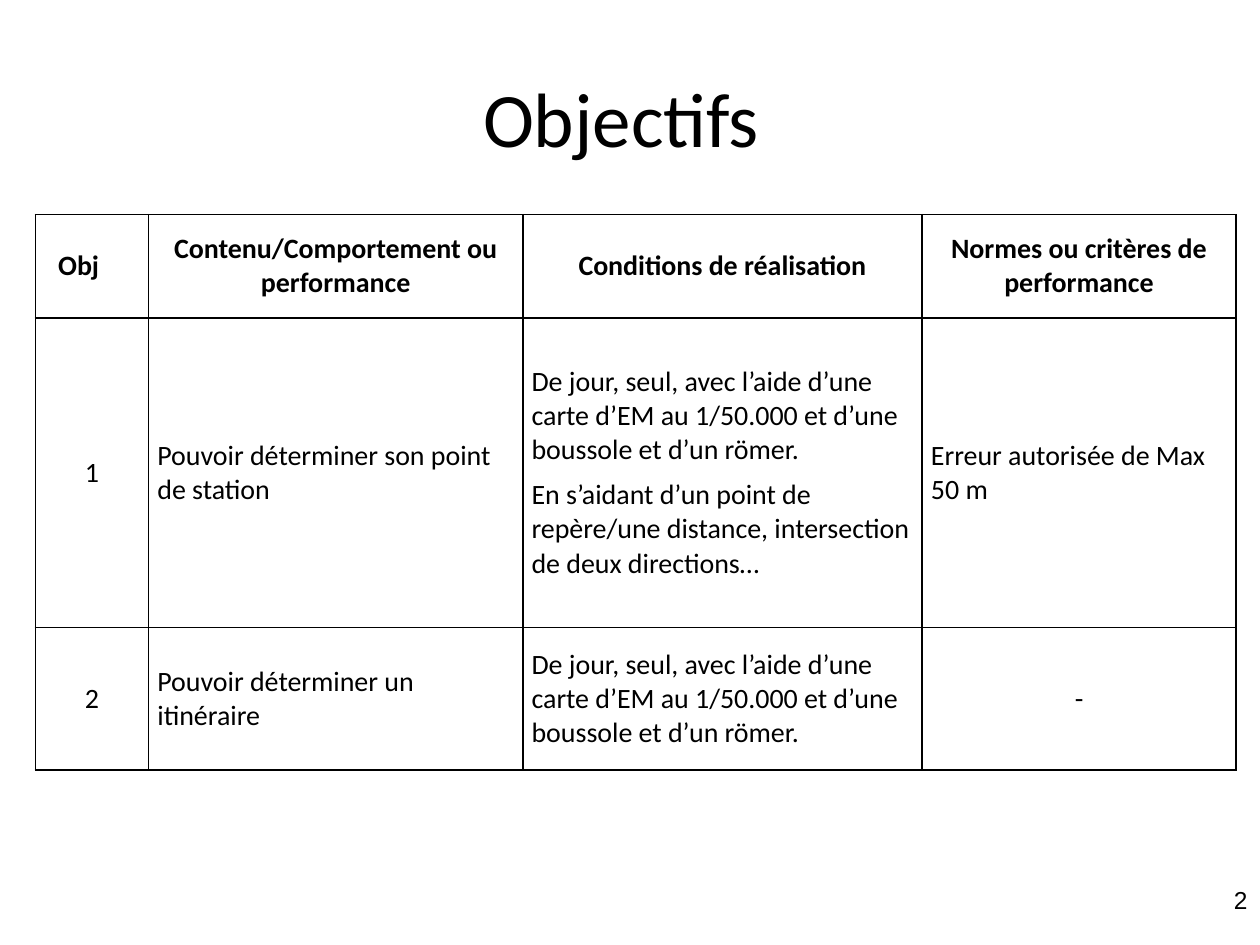
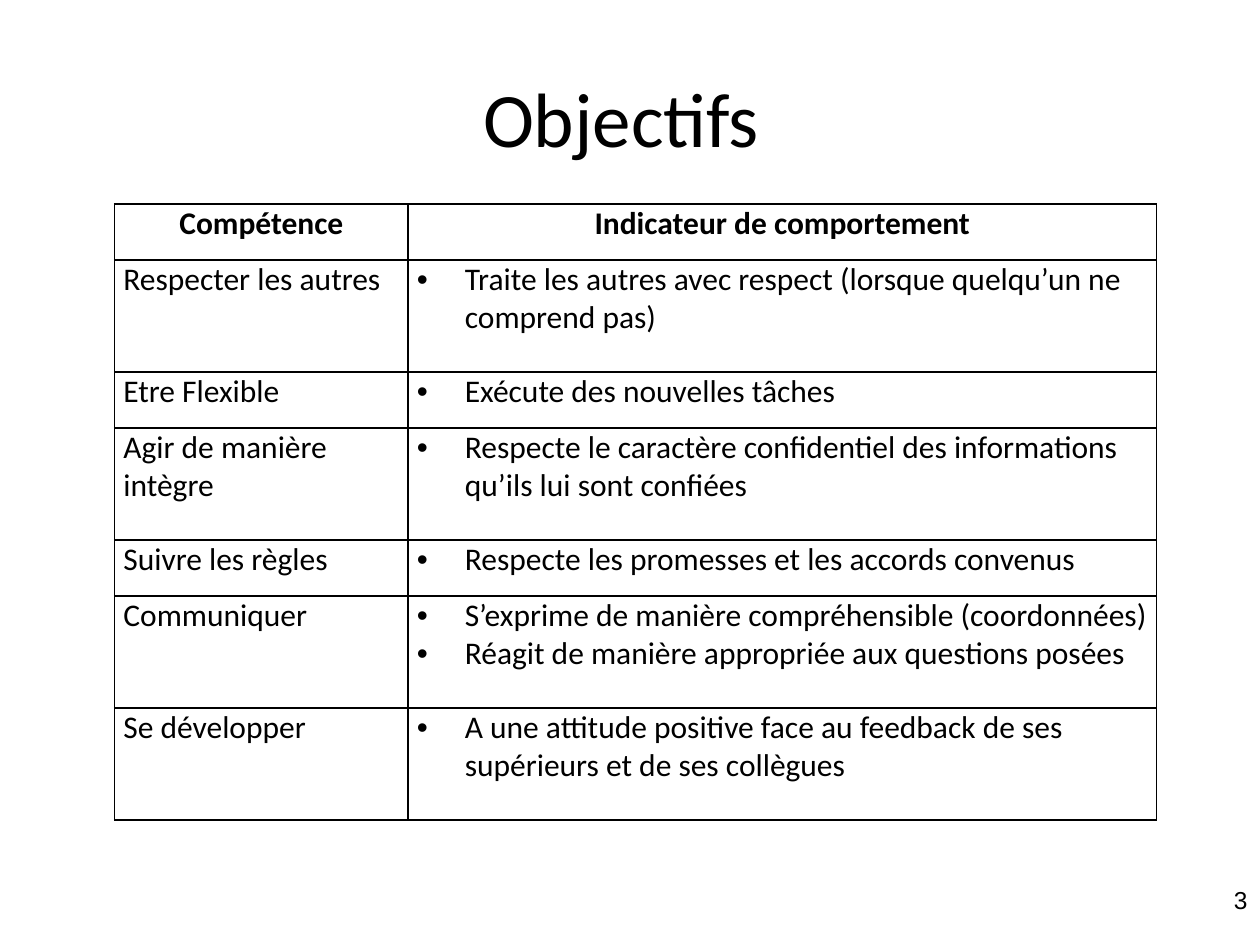
from dataclasses import dataclass

from lxml import etree
from pptx import Presentation
from pptx.dml.color import RGBColor
from pptx.enum.text import MSO_ANCHOR, PP_ALIGN
from pptx.oxml.ns import qn
from pptx.util import Inches, Pt

LEFT, CENTER, RIGHT = PP_ALIGN.LEFT, PP_ALIGN.CENTER, PP_ALIGN.RIGHT
TOP, MIDDLE = MSO_ANCHOR.TOP, MSO_ANCHOR.MIDDLE
SLIDE_WIDTH, SLIDE_HEIGHT = Inches(10), Inches(7.5)


@dataclass(frozen=True)
class Theme:
    ink: RGBColor = RGBColor(0, 0, 0)
    paper: RGBColor = RGBColor(255, 255, 255)
    font: str = "Calibri"
    number_font: str = "Arial"
    title_size: int = 44
    number_size: int = 14
    goal_size: int = 16
    skill_size: int = 18
    border: float = 1
    cell_inset: float = 0.07
    bullet_indent: float = 0.38


@dataclass(frozen=True)
class Box:
    """An area in shares of the slide's width and height."""
    left: float
    top: float
    width: float
    height: float

    def lengths(self):
        return (int(self.left * SLIDE_WIDTH), int(self.top * SLIDE_HEIGHT),
                int(self.width * SLIDE_WIDTH), int(self.height * SLIDE_HEIGHT))


THEME = Theme()
TITLE_BOX = Box(0.05, 0.04, 0.9, 1 / 6)
NUMBER_BOX = Box(0.767, 0.93, 0.233, 0.07)
GOAL_BOX = Box(0.028, 0.227, 0.953, 0.588)
SKILL_BOX = Box(0.091, 0.216, 0.827, 0.652)

MAP_CONDITIONS = ("De jour, seul, avec l’aide d’une carte d’EM au 1/50.000 "
                  "et d’une boussole et d’un römer.")
GOALS = [
    ["Obj", "Contenu/Comportement ou performance",
     "Conditions de réalisation", "Normes ou critères de performance"],
    ["1", "Pouvoir déterminer son point de station",
     [MAP_CONDITIONS, "En s’aidant d’un point de repère/une distance, "
                      "intersection de deux directions…"],
     "Erreur autorisée de Max 50 m"],
    ["2", "Pouvoir déterminer un itinéraire", MAP_CONDITIONS, "-"],
]
SKILLS = [
    ["Compétence", "Indicateur de comportement"],
    ["Respecter les autres",
     "Traite les autres avec respect (lorsque quelqu’un ne comprend pas)"],
    ["Etre Flexible", "Exécute des nouvelles tâches"],
    ["Agir de manière intègre", "Respecte le caractère confidentiel des "
                                "informations qu’ils lui sont confiées"],
    ["Suivre les règles", "Respecte les promesses et les accords convenus"],
    ["Communiquer", ["S’exprime de manière compréhensible (coordonnées)",
                     "Réagit de manière appropriée aux questions posées"]],
    ["Se développer", "A une attitude positive face au feedback de ses "
                      "supérieurs et de ses collègues"],
]


# Text and cell formatting
def apply(target, values):
    for name, value in values.items():
        setattr(target, name, value)


def write(frame, texts, size, font=THEME.font, bold=False, **para_format):
    texts = [texts] if isinstance(texts, str) else texts
    for index, text in enumerate(texts):
        para = frame.add_paragraph() if index else frame.paragraphs[0]
        apply(para, para_format)
        span = para.add_run()
        span.text = text
        apply(span.font, {"name": font, "size": Pt(size), "bold": bold})
        span.font.color.rgb = THEME.ink


def add_bullets(frame):
    indent = Inches(THEME.bullet_indent)
    for para in frame.paragraphs:
        props = para._p.get_or_add_pPr()
        props.set("marL", str(indent))
        props.set("indent", str(-indent))
        etree.SubElement(props, qn("a:buFont"), typeface="Arial")
        etree.SubElement(props, qn("a:buChar"), char="•")


def style_cell(cell, anchor):
    inset = Inches(THEME.cell_inset)
    apply(cell, {"margin_left": inset, "margin_right": inset, "margin_top": 0,
                 "margin_bottom": 0, "vertical_anchor": anchor})
    props = cell._tc.get_or_add_tcPr()
    for side in ("a:lnL", "a:lnR", "a:lnT", "a:lnB"):
        line = etree.SubElement(props, qn(side), w=str(Pt(THEME.border)))
        fill = etree.SubElement(line, qn("a:solidFill"))
        etree.SubElement(fill, qn("a:srgbClr"), val=str(THEME.ink))
    cell.fill.solid()
    cell.fill.fore_color.rgb = THEME.paper


# Shared page: title and slide number
def add_page(deck, number):
    page = deck.slides.add_slide(deck.slide_layouts[5])
    title = page.shapes.title
    apply(title, dict(zip(("left", "top", "width", "height"), TITLE_BOX.lengths())))
    title.text_frame.vertical_anchor = MIDDLE
    write(title.text_frame, "Objectifs ", THEME.title_size, alignment=CENTER)
    frame = page.shapes.add_textbox(*NUMBER_BOX.lengths()).text_frame
    frame.word_wrap = True
    write(frame, str(number), THEME.number_size, THEME.number_font, alignment=RIGHT)
    return page


# Empty table whose columns and rows share the box by weight
def add_grid(page, box, column_weights, row_weights, anchor):
    left, top, width, height = box.lengths()
    table = page.shapes.add_table(len(row_weights), len(column_weights),
                                  left, top, width, height).table
    apply(table, {"first_row": False, "horz_banding": False})
    for column, weight in zip(table.columns, column_weights):
        column.width = int(width * weight / sum(column_weights))
    for row, weight in zip(table.rows, row_weights):
        row.height = int(height * weight / sum(row_weights))
    for cell in table.iter_cells():
        style_cell(cell, anchor)
    return table


# Goals: centred numbers, headings and dashes
def add_goal_table(page, box):
    table = add_grid(page, box, (0.9, 2.97, 3.17, 2.49), (0.82, 2.46, 1.13), MIDDLE)
    for r, row in enumerate(GOALS):
        for c, texts in enumerate(row):
            centred = r == 0 or c == 0 or texts == "-"
            write(table.cell(r, c).text_frame, texts, THEME.goal_size, bold=r == 0,
                  alignment=CENTER if centred else LEFT,
                  space_before=Pt(0 if texts == "2" else 6))
    # The first heading sits left of its column's middle
    table.cell(0, 0).margin_right = Inches(4 * THEME.cell_inset)


# Skills: one or two row units each, bulleted indicators
def add_skill_table(page, box):
    table = add_grid(page, box, (2.33, 5.94), (1, 2, 1, 2, 1, 2, 2), TOP)
    for r, row in enumerate(SKILLS):
        for c, texts in enumerate(row):
            frame = table.cell(r, c).text_frame
            write(frame, texts, THEME.skill_size, bold=r == 0,
                  alignment=LEFT if r else CENTER)
            if r and c:
                add_bullets(frame)


def main():
    deck = Presentation()
    apply(deck, {"slide_width": SLIDE_WIDTH, "slide_height": SLIDE_HEIGHT})
    add_goal_table(add_page(deck, 2), GOAL_BOX)
    add_skill_table(add_page(deck, 3), SKILL_BOX)
    deck.save("out.pptx")


if __name__ == "__main__":
    main()
